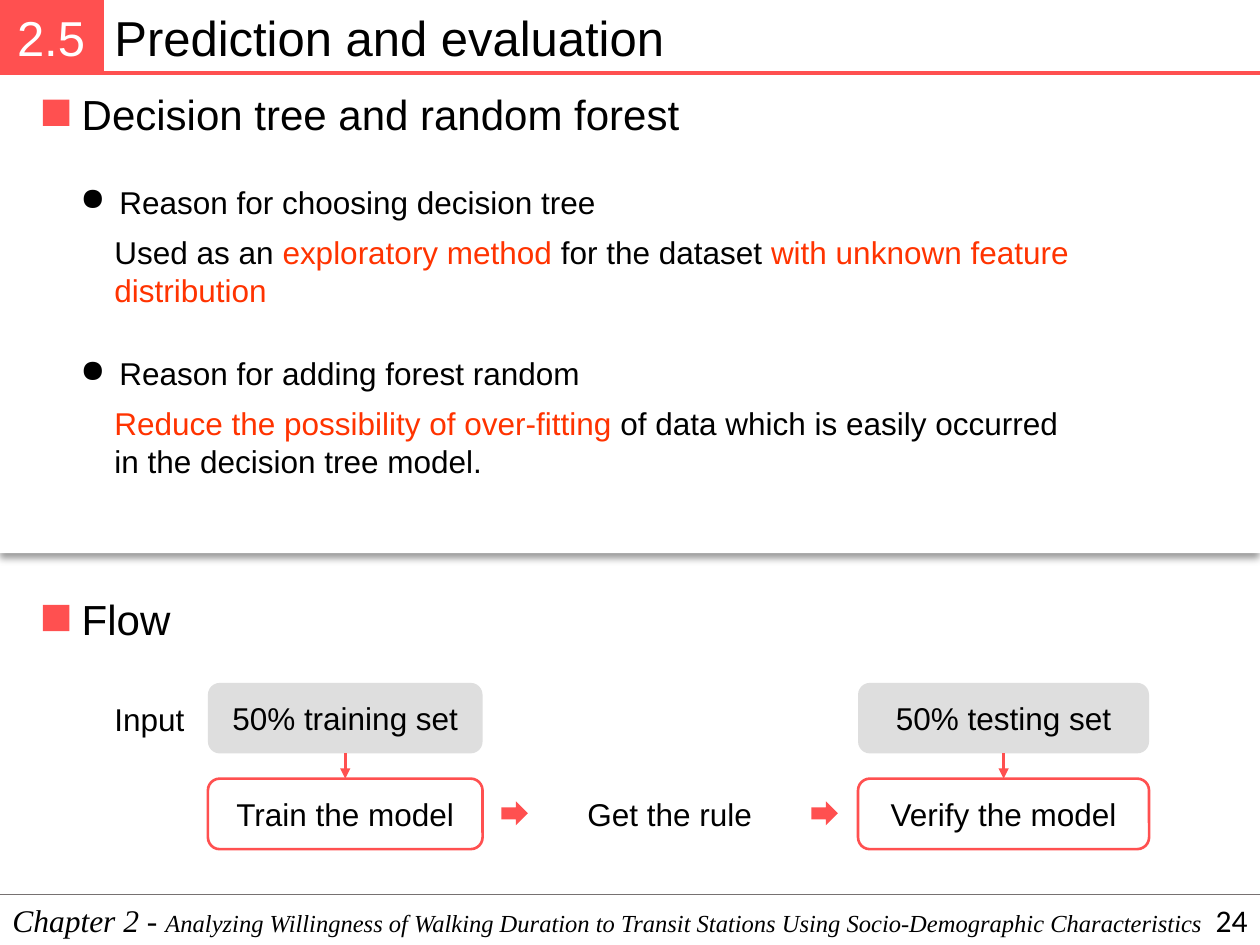
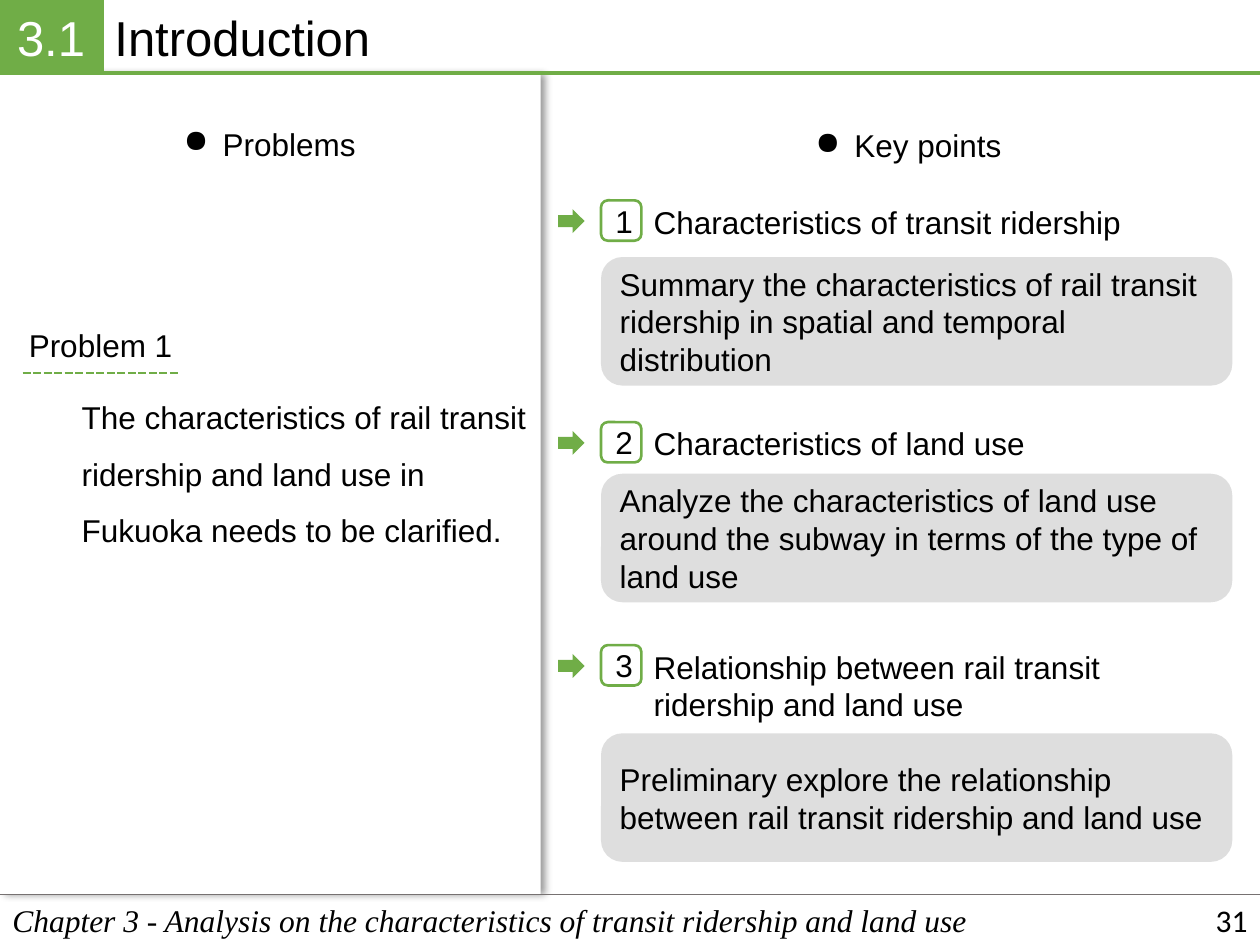
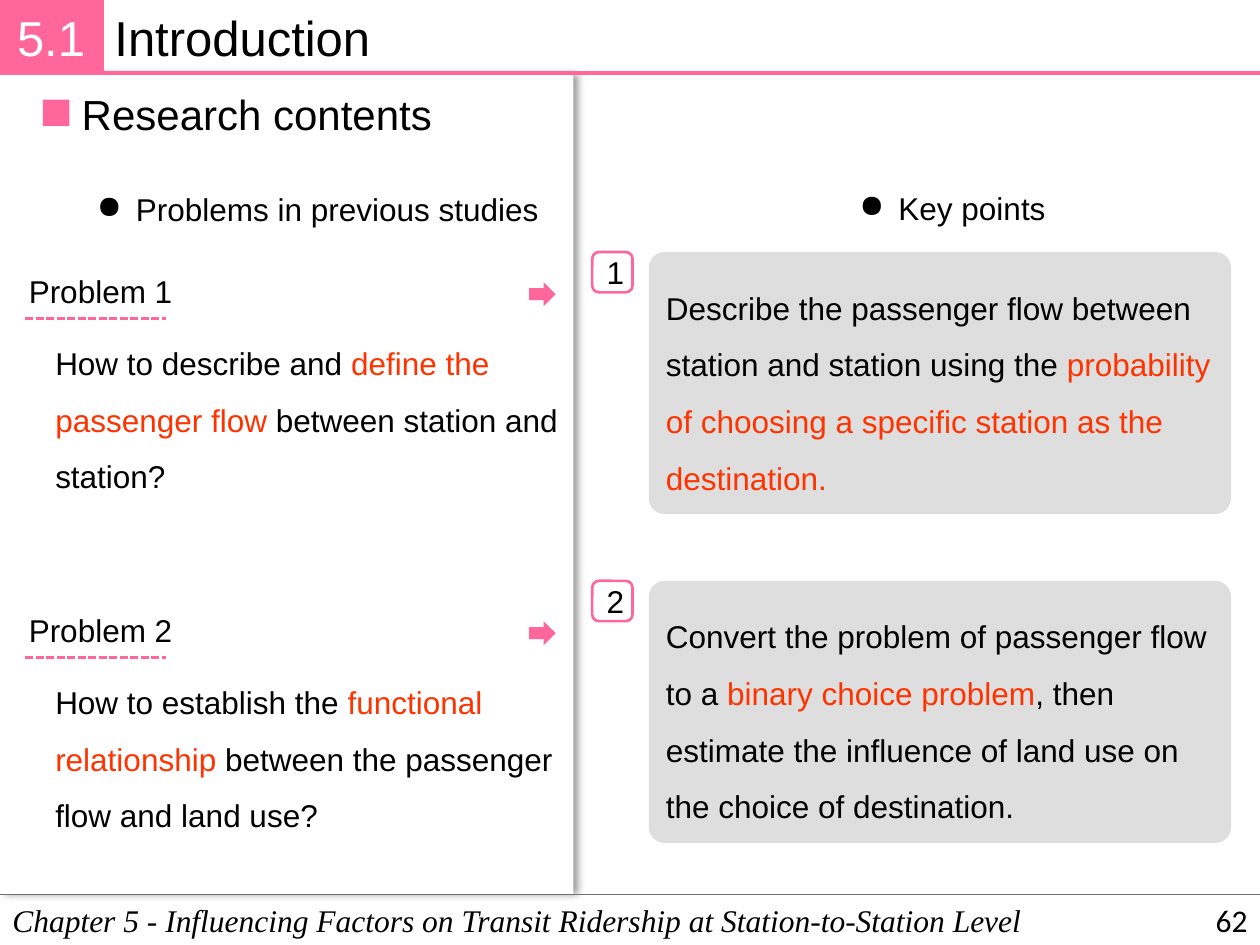
from lxml import etree
from pptx import Presentation
from pptx import util as u
from pptx.dml.color import RGBColor
from pptx.enum import dml, shapes, text
from pptx.oxml import ns

INK = {
    "black": "000000", "white": "FFFFFF", "rule": "767171", "mark": "FF3300",
    "grey": "7F7F7F", "red": "FF5050", "green": "70AD47", "pink": "FF6699",
}
KIND = shapes.MSO_SHAPE
MIDDLE = text.MSO_ANCHOR.MIDDLE
CENTER, RIGHT = text.PP_ALIGN.CENTER, text.PP_ALIGN.RIGHT
WIDE, HIGH = 10, 7.5
HEAD, FOOT, TAB = 0.58, 7.1, 0.81
ROW = 0.4


def color(name):
    return RGBColor.from_string(INK[name])


def inches(*values):
    return [u.Inches(value) for value in values]


def child(parent, tag, **attrs):
    return etree.SubElement(parent, ns.qn(tag), attrs)


def write(shape, words, size=18, font="Arial", ink="black", mark="mark", small=None,
          align=None, anchor=None, spacing=None, italic=None, bullet=False,
          wrap=True, inset=None):
    """Fill a shape with one paragraph; parts between asterisks take mark and small."""
    frame = shape.text_frame
    frame.word_wrap = wrap
    if anchor is not None:
        frame.vertical_anchor = anchor
    if inset is not None:
        frame.margin_left = frame.margin_right = u.Inches(inset)
        frame.margin_top = frame.margin_bottom = u.Inches(inset)
    par = frame.paragraphs[0]
    par.alignment = align or text.PP_ALIGN.LEFT
    if spacing:
        par.line_spacing = spacing
    if bullet:
        props = par._p.get_or_add_pPr()
        props.set("marL", str(u.Inches(0.31)))
        props.set("indent", str(-u.Inches(0.31)))
        child(props, "a:buChar", char="●")
    for i, part in enumerate(words.split("*")):
        if not part:
            continue
        run = par.add_run()
        run.text = part
        run.font.name, run.font.italic = font, italic
        run.font.size = u.Pt(small if small and i % 2 else size)
        run.font.color.rgb = color(mark if i % 2 else ink)


def label(page, at, words, **form):
    write(page.shapes.add_textbox(*inches(*at)), words, **form)


def block(page, at, kind=KIND.RECTANGLE, fill=None, alpha=None, line=None, width=1.5):
    shape = page.shapes.add_shape(kind, *inches(*at))
    shape.shadow.inherit = False
    if fill:
        shape.fill.solid()
        shape.fill.fore_color.rgb = color(fill)
        if alpha:
            tone = shape._element.spPr.find(".//" + ns.qn("a:srgbClr"))
            child(tone, "a:alpha", val=str(alpha * 1000))
    else:
        shape.fill.background()
    if line:
        shape.line.color.rgb = color(line)
        shape.line.width = u.Pt(width)
    else:
        shape.line.fill.background()
    return shape


def rule(page, start, end, ink, width=1.5, dash=False, arrow=False):
    line = page.shapes.add_connector(shapes.MSO_CONNECTOR.STRAIGHT, *inches(*start, *end))
    line.line.color.rgb = color(ink)
    line.line.width = u.Pt(width)
    if dash:
        line.line.dash_style = dml.MSO_LINE.SQUARE_DOT
    if arrow:
        child(line.line._get_or_add_ln(), "a:tailEnd", type="triangle")
    child(line._element.spPr, "a:effectLst")
    return line


def panel(page, at, angle):
    """White sheet that casts its shadow towards the angle."""
    shape = block(page, at, fill="white")
    effects = shape._element.spPr.find(ns.qn("a:effectLst"))
    shade = child(effects, "a:outerShdw", blurRad=str(u.Pt(4)), dist=str(u.Pt(3)),
                  dir=str(angle * 60000), algn="t" if angle else "l", rotWithShape="0")
    tone = child(shade, "a:srgbClr", val=INK["black"])
    child(tone, "a:alpha", val="40000")


def frame(page, tint, part, title, chapter, number):
    """Header and footer shared by all slides."""
    label(page, (TAB, 0.01, WIDE - TAB, 0.57), title, size=28)
    tab = block(page, (0, 0, TAB, HEAD), fill=tint, line=tint, width=2.25)
    write(tab, part, size=28, ink="white", align=CENTER, anchor=MIDDLE, inset=0.06)
    rule(page, (TAB, HEAD), (WIDE, HEAD), tint, 2.25)
    label(page, (0, FOOT, WIDE, ROW), chapter, font="Times New Roman", italic=True,
          mark="black", small=14)
    rule(page, (0, FOOT), (WIDE, FOOT), "rule", 1)
    label(page, (7.75, FOOT, 2.25, ROW), number, font="Calibri", align=RIGHT, anchor=MIDDLE)


def heading(page, y, width, words, tint):
    block(page, (0.34, y + 0.14, 0.21, 0.21), fill=tint)
    label(page, (0.55, y, width, 0.5), words, size=24, wrap=False)


def arrow(page, x, y, tint):
    block(page, (x, y, 0.21, 0.19), KIND.RIGHT_ARROW, fill=tint)


def badge(page, x, y, number, tint):
    shape = block(page, (x, y, 0.32, 0.32), KIND.ROUNDED_RECTANGLE, line=tint)
    write(shape, str(number), align=CENTER, anchor=MIDDLE)


def card(page, at, words, round=None, **form):
    shape = block(page, at, KIND.ROUNDED_RECTANGLE, fill="grey", alpha=25)
    if round:
        shape.adjustments[0] = round
    write(shape, words, anchor=MIDDLE, **form)
    return shape


def reason(page, y, title, words):
    label(page, (0.54, y, 5, ROW), title, bullet=True)
    label(page, (0.81, y + 0.4, 7.94, 0.71), words)


def problem(page, y, number, words, left, dash, tint):
    """Underlined label with its question; dash gives the ends of the underline."""
    label(page, (0.13, y, 1.35, ROW), f"Problem {number}", wrap=False)
    rule(page, (dash[0], y + 0.42), (dash[1], y + 0.42), tint, dash=True)
    label(page, (left, y + 0.42, 4.29 - left if left > 0.5 else 4.22, 1.41), words, spacing=1.5)


def step(page, x, y, width, source, words, tint):
    """Data set on top of the model step it feeds."""
    data = card(page, (x, y, width, 0.56), source, align=CENTER)
    model = block(page, (x, y + 0.76, width, 0.56), KIND.ROUNDED_RECTANGLE, line=tint)
    write(model, words, align=CENTER, anchor=MIDDLE)
    mid = x + width / 2
    link = rule(page, (mid, y + 0.56), (mid, y + 0.76), tint, arrow=True)
    link.begin_connect(data, 2)
    link.end_connect(model, 0)


def flow(page, x, y, tint):
    label(page, (x, y + 0.09, 0.76, ROW), "Input", wrap=False)
    step(page, x + 0.84, y, 2.18, "50% training set", "Train the model", tint)
    step(page, x + 6, y, 2.31, "50% testing set", "Verify the model", tint)
    get = block(page, (x + 3.53, y + 0.76, 1.95, 0.56), KIND.ROUNDED_RECTANGLE)
    write(get, "Get the rule", align=CENTER, anchor=MIDDLE)
    for left in (3.17, 5.63):
        arrow(page, x + left, y + 0.94, tint)


def point(page, x, y, number, title, drop, words, tint):
    """Numbered key point; its card starts the given drop below the title."""
    arrow(page, x, y + 0.1, tint)
    badge(page, x + 0.34, y + 0.03, number, tint)
    label(page, (x + 0.66, y, 4.23, drop - 0.04), title)
    card(page, (x + 0.34, y + drop, 5.01, 1.02), words)


def predict(page):
    tint = "red"
    panel(page, (0, 0.59, WIDE, 3.8), 90)
    frame(page, tint, "2.5", "Prediction and evaluation",
          "Chapter 2 - *Analyzing Willingness of Walking Duration to Transit Stations "
          "Using Socio-Demographic Characteristics", "24")
    heading(page, 0.65, 4.99, "Decision tree and random forest", tint)
    reason(page, 1.4, "Reason for choosing decision tree",
           "Used as an *exploratory method *for the dataset "
           "*with unknown feature distribution")
    reason(page, 2.76, "Reason for adding forest random",
           "*Reduce the possibility of over-fitting* of data which is easily "
           "occurred in the decision tree model.")
    heading(page, 4.66, 0.91, "Flow", tint)
    flow(page, 0.81, 5.42, tint)


def ridership(page):
    tint = "green"
    panel(page, (0, 0.59, 4.29, 6.51), 0)
    frame(page, tint, "3.1", "Introduction",
          "Chapter 3 - Analysis on the characteristics of transit ridership and land use", "31")
    label(page, (1.35, 0.94, 1.58, ROW), "Problems", bullet=True, align=CENTER, wrap=False)
    label(page, (6.36, 0.95, 1.7, ROW), "Key points", bullet=True, align=CENTER, wrap=False)
    problem(page, 2.54, 1, "The characteristics of rail transit ridership and land use "
            "in Fukuoka needs to be clarified.", 0.55, (0.18, 1.43), tint)
    points = [
        (1.56, "Characteristics of transit ridership", 0.48,
         "Summary the characteristics of rail transit ridership in spatial and "
         "temporal distribution"),
        (3.32, "Characteristics of land use", 0.44,
         "Analyze the characteristics of land use around the subway in terms of "
         "the type of land use"),
        (5.09, "Relationship between rail transit ridership and land use", 0.73,
         "Preliminary explore the relationship between rail transit ridership and land use"),
    ]
    for number, (y, title, drop, words) in enumerate(points, 1):
        point(page, 4.43, y, number, title, drop, words, tint)


def station(page):
    tint = "pink"
    panel(page, (0, 0.59, 4.55, 6.51), 0)
    frame(page, tint, "5.1", "Introduction",
          "Chapter 5 - Influencing Factors on Transit Ridership at Station-to-Station Level",
          "62")
    heading(page, 0.65, 3.01, "Research contents", tint)
    label(page, (0.67, 1.46, 3.74, ROW), "Problems in previous studies", bullet=True, wrap=False)
    label(page, (6.71, 1.45, 1.7, ROW), "Key points", bullet=True, align=CENTER, wrap=False)
    pairs = [
        ("How to describe and *define the passenger flow *between station and station?",
         "Describe the passenger flow between station and station using the "
         "*probability of choosing a specific station as the destination."),
        ("How to establish the *functional relationship* between the passenger flow "
         "and land use?",
         "Convert the problem of passenger flow to a *binary choice problem*, then "
         "estimate the influence of land use on the choice of destination."),
    ]
    for i, (ask, answer) in enumerate(pairs):
        y, top = 2.11 + 2.69 * i, 2 + 2.61 * i
        problem(page, y, i + 1, ask, 0.34, (0.2, 1.32), tint)
        arrow(page, 4.2, y + 0.13, tint)
        badge(page, 4.7, top, i + 1, tint)
        card(page, (5.15, top, 4.62, 2.08), answer, round=0.06, spacing=1.5)


def main():
    deck = Presentation()
    deck.slide_width, deck.slide_height = inches(WIDE, HIGH)
    for build in (predict, ridership, station):
        build(deck.slides.add_slide(deck.slide_layouts[6]))
    deck.save("out.pptx")


if __name__ == "__main__":
    main()
